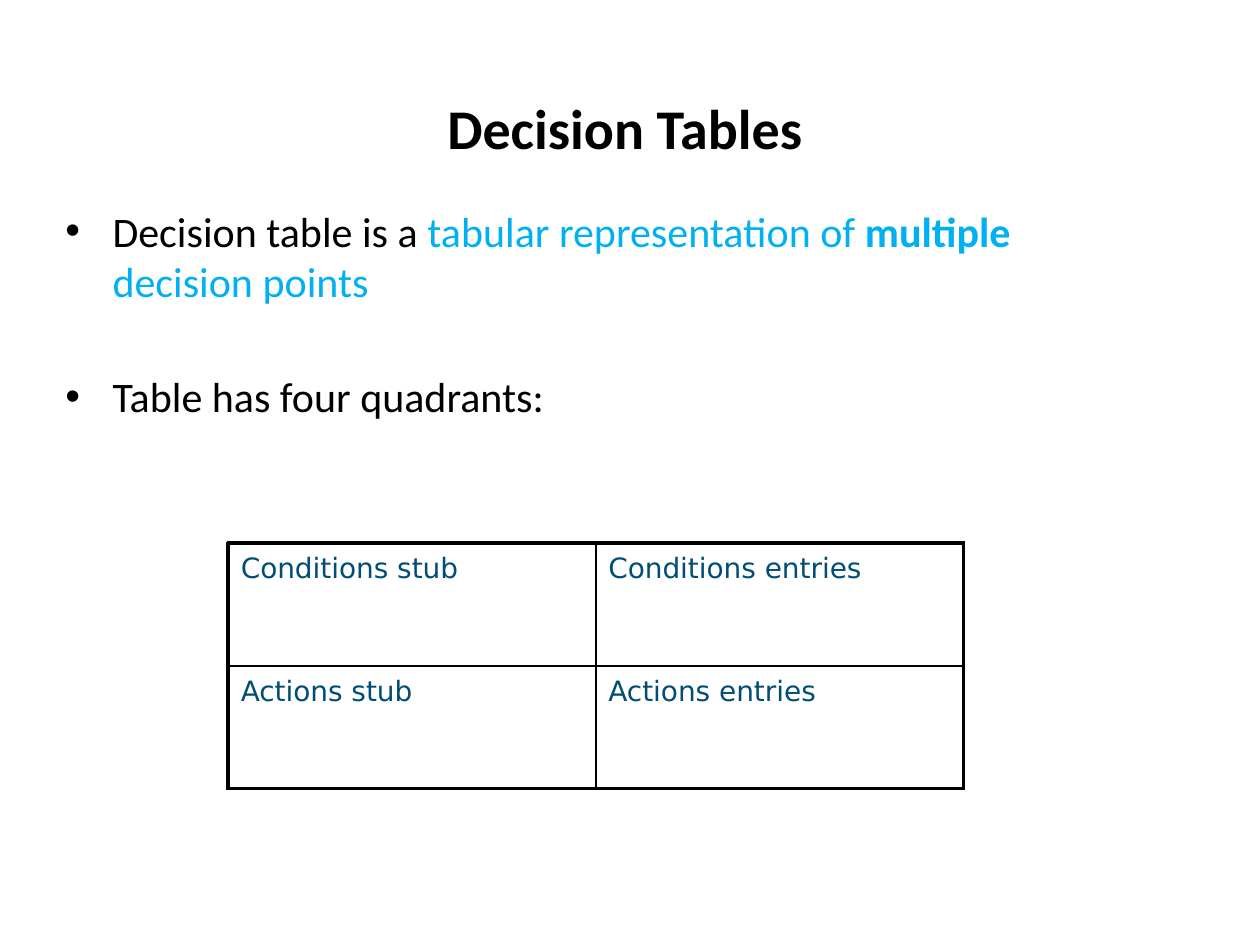
"""Build a slide that introduces decision tables and their four quadrants."""
from dataclasses import dataclass

from lxml import etree
from pptx import Presentation
from pptx import util as u
from pptx.dml.color import RGBColor
from pptx.enum import text
from pptx.oxml import ns


@dataclass(frozen=True)
class Theme:
    ink: str = "000000"
    accent: str = "00B0F0"
    cell: str = "004D75"
    head_font: str = "Calibri"
    cell_font: str = "DejaVu Sans"
    title_size: int = 32
    body_size: int = 24
    cell_size: int = 16
    outer: float = 2.25
    inner: float = 1


T = Theme()
TITLE = "Decision Tables"
BULLETS = [
    [("Decision table is a ", {}),
     ("tabular representation of ", {"color": T.accent}),
     ("multiple ", {"color": T.accent, "bold": True}),
     ("decision points", {"color": T.accent})],
    [("Table has four quadrants:", {})],
]
QUADRANTS = [["Conditions stub", "Conditions entries"],
             ["Actions stub", "Actions entries"]]
TITLE_BOX = (1.07, 1.07, 23.06, 2.97)
BODY_BOX = (1.07, 4.01, 20.04, 5.79)
TABLE_BOX = (4.6, 10.95, 14.82, 4.95)
INDENT = u.Cm(0.95)
BULLET_GAP = 37


def cm(box):
    return [u.Cm(v) for v in box]


def add_run(p, words, *, size=T.body_size, color=T.ink, font=T.head_font, bold=False):
    r = p.add_run()
    r.text = words
    r.font.size = u.Pt(size)
    r.font.name = font
    r.font.bold = bold
    r.font.color.rgb = RGBColor.from_string(color)


def add_box(slide, box, anchor):
    tf = slide.shapes.add_textbox(*cm(box)).text_frame
    tf.word_wrap = True
    tf.vertical_anchor = anchor
    return tf


def set_bullet(p):
    ppr = p._p.get_or_add_pPr()
    ppr.set("marL", str(INDENT))
    ppr.set("indent", str(-INDENT))
    etree.SubElement(ppr, ns.qn("a:buFont")).set("typeface", "Arial")
    etree.SubElement(ppr, ns.qn("a:buChar")).set("char", "•")


def set_borders(cell, weights):
    tcpr = cell._tc.get_or_add_tcPr()
    for side, weight in weights.items():
        ln = etree.SubElement(tcpr, ns.qn(f"a:ln{side}"), w=str(u.Pt(weight)))
        fill = etree.SubElement(ln, ns.qn("a:solidFill"))
        etree.SubElement(fill, ns.qn("a:srgbClr"), val=T.ink)


def add_quadrants(slide):
    rows, cols = len(QUADRANTS), len(QUADRANTS[0])
    table = slide.shapes.add_table(rows, cols, *cm(TABLE_BOX)).table
    table.first_row = table.horz_banding = False
    for i, row in enumerate(QUADRANTS):
        for j, words in enumerate(row):
            cell = table.cell(i, j)
            at_edge = {"L": j == 0, "R": j == cols - 1,
                       "T": i == 0, "B": i == rows - 1}
            set_borders(cell, {k: T.outer if v else T.inner
                               for k, v in at_edge.items()})
            cell.fill.background()
            p = cell.text_frame.paragraphs[0]
            p.line_spacing = 1.1
            add_run(p, words, size=T.cell_size, color=T.cell, font=T.cell_font)


def main():
    prs = Presentation()
    prs.slide_width, prs.slide_height = cm((25.4, 19.05))
    s = prs.slides.add_slide(prs.slide_layouts[6])

    p = add_box(s, TITLE_BOX, text.MSO_ANCHOR.MIDDLE).paragraphs[0]
    p.alignment = text.PP_ALIGN.CENTER
    add_run(p, TITLE, size=T.title_size, bold=True)

    tf = add_box(s, BODY_BOX, text.MSO_ANCHOR.TOP)
    for i, runs in enumerate(BULLETS):
        p = tf.add_paragraph() if i else tf.paragraphs[0]
        set_bullet(p)
        if i:
            p.space_before = u.Pt(BULLET_GAP)
        for words, style in runs:
            add_run(p, words, **style)

    add_quadrants(s)
    prs.save("out.pptx")


if __name__ == "__main__":
    main()
